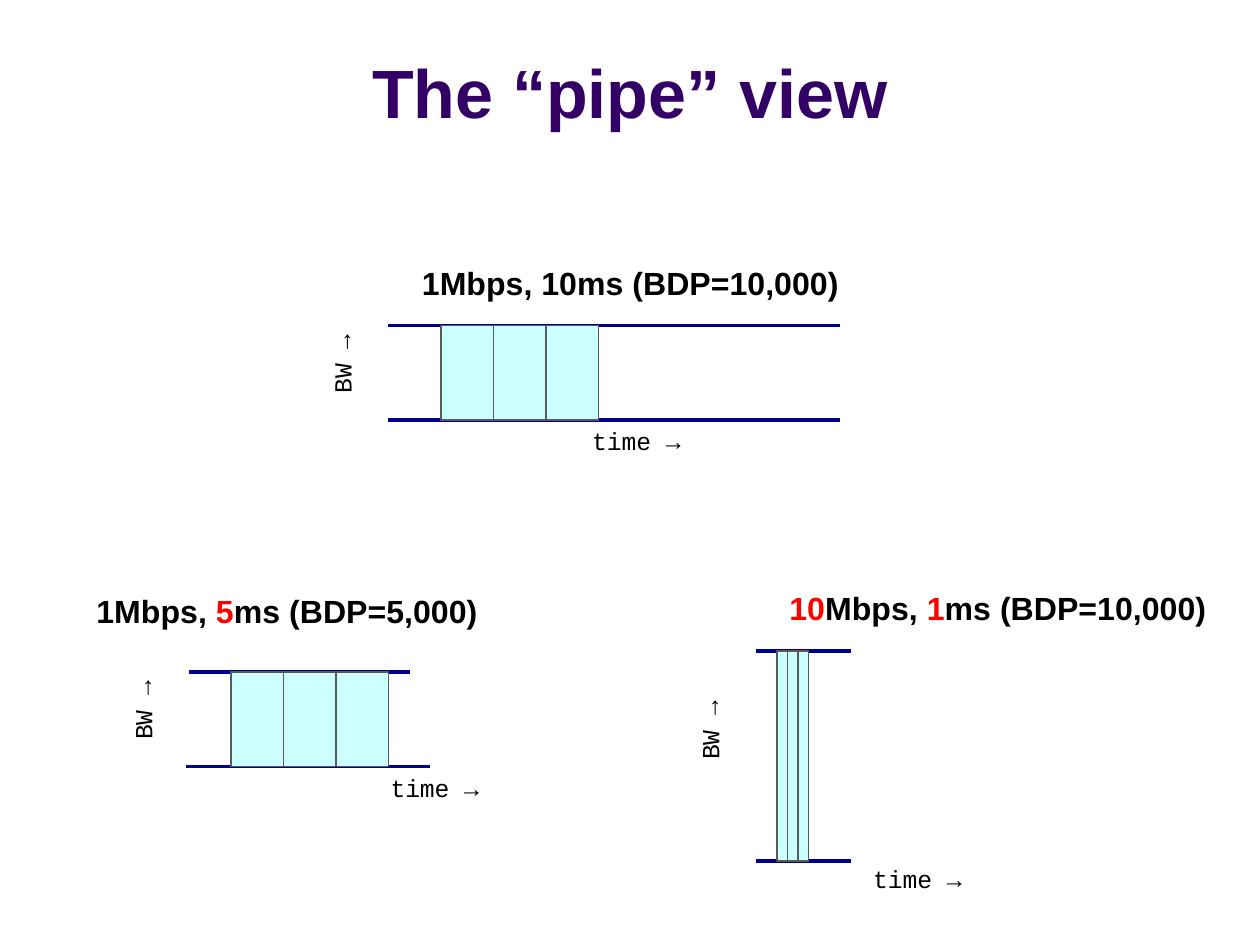
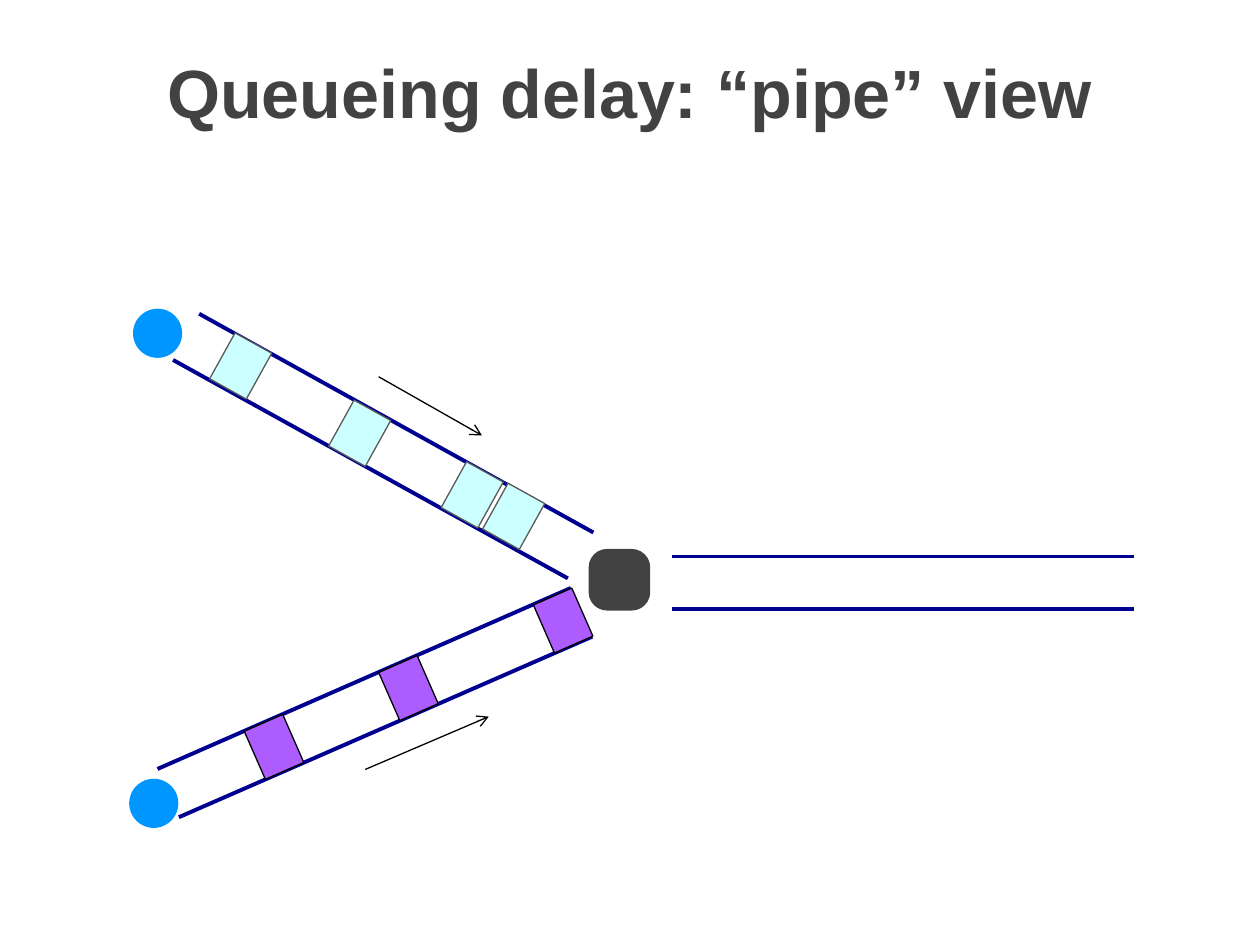
from lxml import etree
from pptx import Presentation
from pptx.dml.color import RGBColor
from pptx.enum import shapes, text
from pptx.oxml.ns import qn
from pptx.util import Pt

COLORS = {
    "title": "330066", "dark": "424242", "text": "000000", "accent": "FF0000",
    "pipe": "000090", "packet": "CCFFFF", "packet_edge": "595959",
    "packet_b": "AD5CFF", "host": "0096FF",
}
RECT = shapes.MSO_SHAPE.RECTANGLE
OVAL = shapes.MSO_SHAPE.OVAL
ROUNDED = shapes.MSO_SHAPE.ROUNDED_RECTANGLE


def add_text(s, runs, x, y, w, h, size=14.1, font="Courier New", bold=False,
             align="LEFT", anchor="TOP", spacing=1.0, rotation=0):
    """Add one line of text; runs is a list of (text, colour name)."""
    sp = s.shapes.add_textbox(Pt(x), Pt(y), Pt(w), Pt(h))
    sp.rotation = rotation
    tf = sp.text_frame
    tf.word_wrap = False
    tf.vertical_anchor = getattr(text.MSO_ANCHOR, anchor)
    p = tf.paragraphs[0]
    p.alignment = getattr(text.PP_ALIGN, align)
    p.line_spacing = spacing
    for words, color in runs:
        r = p.add_run()
        r.text = words
        r.font.size, r.font.name, r.font.bold = Pt(size), font, bold
        r.font.color.rgb = RGBColor.from_string(COLORS[color])


def add_item(s, kind, points, fill=None, line=None, width=0.75, rotation=0, arrow=False):
    """Add a line (kind None, points x1 y1 x2 y2) or a shape (points x y w h)."""
    box = [Pt(v) for v in points]
    if kind is None:
        sp = s.shapes.add_connector(shapes.MSO_CONNECTOR.STRAIGHT, *box)
        etree.SubElement(sp._element.spPr, qn("a:effectLst"))
    else:
        sp = s.shapes.add_shape(kind, *box)
        sp.shadow.inherit = False
        sp.rotation = rotation
        sp.fill.solid()
        sp.fill.fore_color.rgb = RGBColor.from_string(COLORS[fill])
    if line:
        sp.line.color.rgb = RGBColor.from_string(COLORS[line])
        sp.line.width = Pt(width)
    else:
        sp.line.fill.background()
    if arrow:
        etree.SubElement(sp.line._get_or_add_ln(), qn("a:tailEnd"), type="arrow")
    return sp


prs = Presentation()
prs.slide_width, prs.slide_height = Pt(720), Pt(540)

# Slides and titles
slides = []
for title, color in [("The “pipe” view", "title"),
                     ("Queueing delay: “pipe” view", "dark")]:
    s = prs.slides.add_slide(prs.slide_layouts[6])
    add_text(s, [(title, color)], 0, 9.5, 720, 69.5, size=39, font="Arial",
             bold=True, align="CENTER", anchor="BOTTOM")
    slides.append(s)

# Slide 1: three pipes, each with three packets
s = slides[0]
pipes = [
    dict(caption=[("1Mbps, 10ms (BDP=10,000)", "text")], caption_box=(234, 142.6, 259),
         top=(222, 480, 186), bottom=(222, 480, 240), packet_x=252, packet_w=30,
         time=(325.4, 240), bw=(168.5, 198.7)),
    dict(caption=[("1Mbps, ", "text"), ("5", "accent"), ("ms (BDP=5,000)", "text")],
         caption_box=(48, 330, 239),
         top=(108, 234, 384), bottom=(106.5, 245.5, 438), packet_x=132, packet_w=30,
         time=(210.2, 438), bw=(54.7, 396.7)),
    dict(caption=[("10", "accent"), ("Mbps, ", "text"), ("1", "accent"),
                  ("ms (BDP=10,000)", "text")], caption_box=(444, 328.3, 259),
         top=(432, 486, 372), bottom=(432, 486, 492), packet_x=444, packet_w=6,
         time=(486, 490.3), bw=(378.7, 408.2)),
]
for pipe in pipes:
    x, y, w = pipe["caption_box"]
    add_text(s, pipe["caption"], x, y, w, 33.8, size=18.3, font="Arial",
             bold=True, spacing=1.2)
    for x1, x2, y in (pipe["top"], pipe["bottom"]):
        add_item(s, None, (x1, y, x2, y), line="pipe", width=2.25)
    add_text(s, [("time →", "text")], *pipe["time"], 70.6, 24.5, align="RIGHT")
    add_text(s, [("BW →", "text")], *pipe["bw"], 54, 24.5, align="RIGHT", rotation=270)
    top, bottom, w = pipe["top"][2], pipe["bottom"][2], pipe["packet_w"]
    for i in range(3):
        add_item(s, RECT, (pipe["packet_x"] + i * w, top, w, bottom - top),
                 fill="packet", line="packet_edge")

# Slide 2: walls of the two incoming pipes and the outgoing one
s = slides[1]
for wall in [(113.8, 179.3, 339.1, 304.3), (98.9, 205.7, 324.5, 330.5),
             (90, 439.4, 326.2, 336), (102.2, 467, 338.4, 363.8),
             (384, 318, 648, 318), (384, 348, 648, 348)]:
    add_item(s, None, wall, line="pipe", width=2.25)

# Packets on their way
flows = [
    ("packet", "packet_edge", 29,
     [(281.5, 280.1), (257.8, 267.8), (193.5, 232.6), (125.5, 194.2)]),
    ("packet_b", "text", 336.3, [(144.6, 411.8), (309.8, 339.6), (221.4, 378.2)]),
]
for fill, edge, angle, spots in flows:
    for x, y in spots:
        add_item(s, RECT, (x, y, 24, 30), fill=fill, line=edge, rotation=angle)

# Hosts and router
for x, y in [(76, 176.4), (73.8, 445)]:
    add_item(s, OVAL, (x, y, 28.1, 28.1), fill="host")
router = add_item(s, ROUNDED, (336.4, 313.7, 35.2, 35.2), fill="dark")
router.adjustments[0] = 0.3

# Directions of flow
for arrow in [(216.4, 215.3, 275.4, 248.8), (208.7, 439.7, 279.3, 409.5)]:
    add_item(s, None, arrow, line="text", arrow=True)

prs.save("out.pptx")
